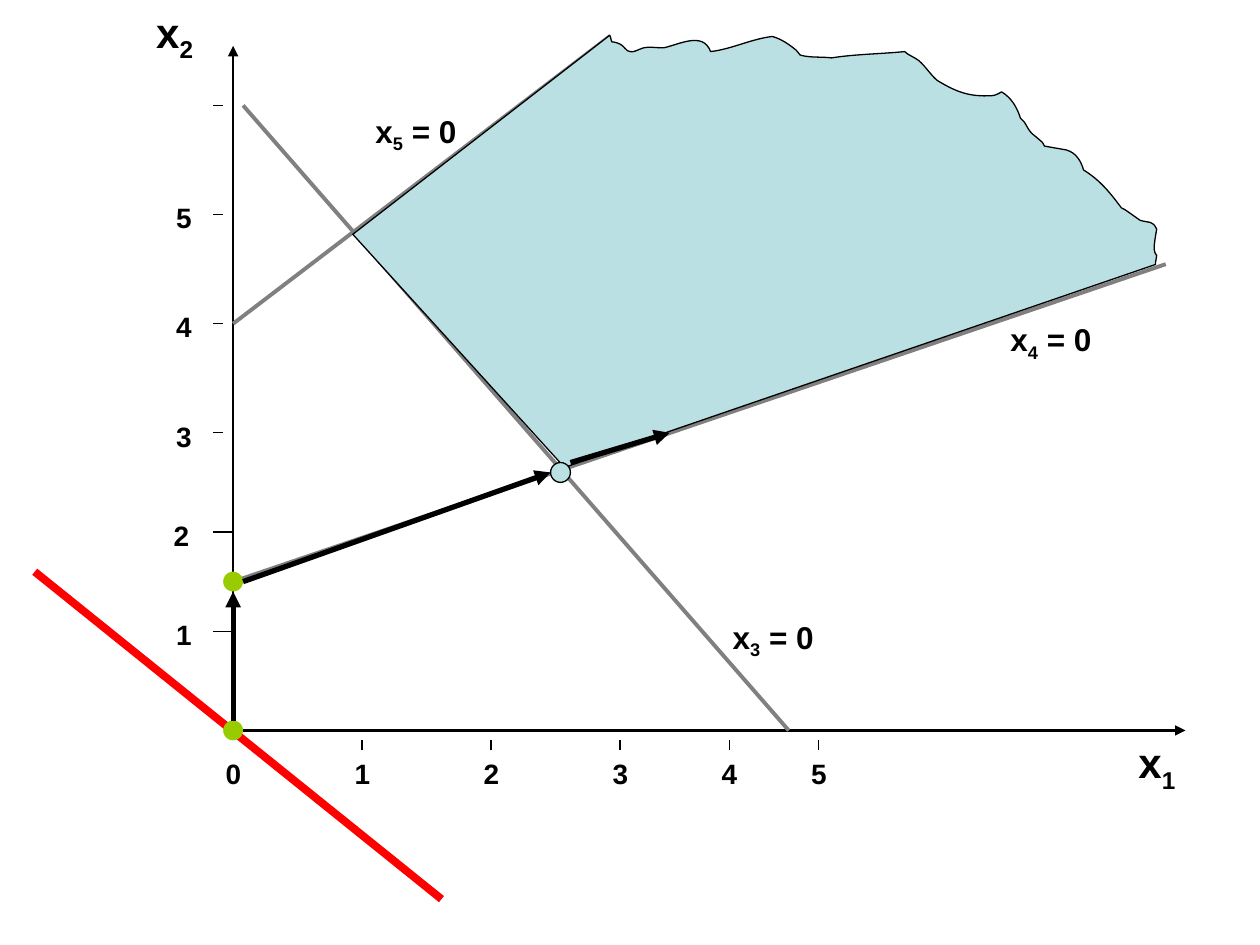
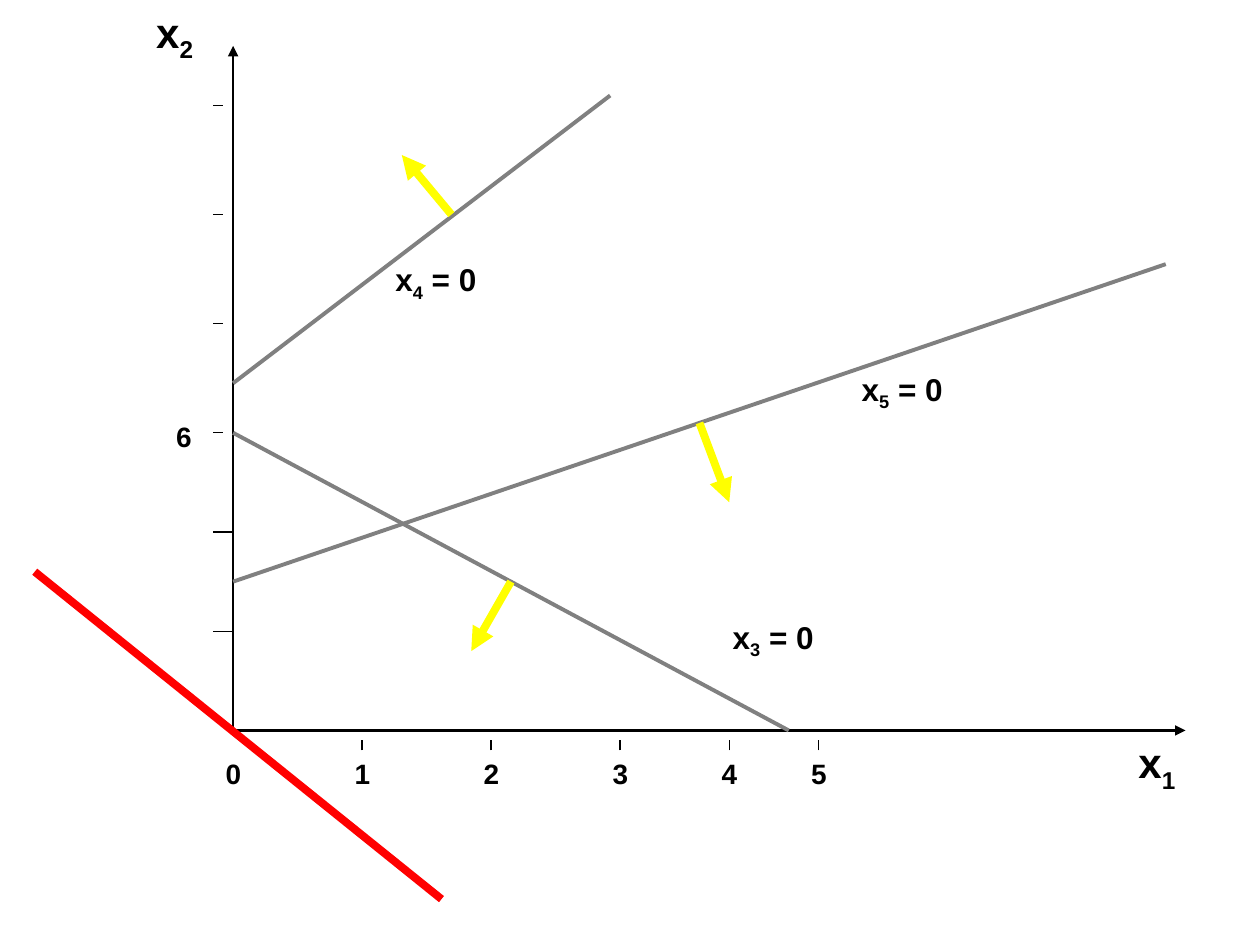
import pptx
import pptx.dml.color
import pptx.enum.shapes
import pptx.enum.text
import pptx.oxml.ns
import pptx.util
from lxml import etree

BLACK = pptx.dml.color.RGBColor(0x00, 0x00, 0x00)
GREY = pptx.dml.color.RGBColor(0x80, 0x80, 0x80)
RED = pptx.dml.color.RGBColor(0xFF, 0x00, 0x00)
YELLOW = pptx.dml.color.RGBColor(0xFF, 0xFF, 0x00)
GREEN = pptx.dml.color.RGBColor(0x99, 0xCC, 0x00)
PALE_BLUE = pptx.dml.color.RGBColor(0xBB, 0xE0, 0xE3)

WIDTH, HEIGHT = pptx.util.Inches(10), pptx.util.Inches(7.5)
CELL = pptx.util.Mm(2)
ORIGIN_X, ORIGIN_Y = pptx.util.Mm(47), pptx.util.Mm(147.25)

X_TICKS = [13, 26, 39, 50, 59]
Y_TICKS = [10, 20, 30, 41, 52, 63]

# Percentages of the slide width: straight corners, then Bezier segments.
REGION_CORNERS = [(48.4, 2.8), (28, 18.6), (44.8, 37.1), (91.7, 21)]
TORN_EDGE = [
    (91.7, 20.7, 91.8, 20.5, 91.8, 20.3), (91.7, 20.1, 91.6, 20, 91.6, 19.8),
    (91.6, 19.3, 91.7, 18.8, 91.8, 18.2), (91.5, 17.5, 91.2, 17.7, 90.5, 17.5),
    (90.2, 17.3, 89.8, 17, 89.5, 16.8), (89.4, 16.7, 89, 16.5, 89, 16.5),
    (88.1, 15.3, 87.3, 14.3, 86, 13.5), (85.8, 12.8, 85.4, 12.1, 84.6, 11.9),
    (84, 11.8, 82.9, 11.6, 82.9, 11.6), (82.8, 11.4, 82.7, 11.2, 82.5, 11.1),
    (82.3, 10.9, 82.1, 10.8, 81.9, 10.6), (81.6, 10.3, 81.5, 10, 81.3, 9.7),
    (81.2, 9.6, 81.1, 9.5, 81, 9.4), (80.7, 8.5, 80.3, 7.8, 79.5, 7.3),
    (79.3, 7.4, 79, 7.6, 78.7, 7.6), (76.9, 7.7, 75.9, 7.3, 74.4, 6.4),
    (73.9, 6, 73.4, 5.2, 72.9, 4.8), (72.5, 4.5, 72.1, 4.4, 71.8, 4.1),
    (69.8, 4.3, 67.9, 4.3, 66, 4.6), (65.2, 4.5, 64.4, 4.6, 63.6, 4.4),
    (63.4, 4.4, 63.4, 4.1, 63.2, 4), (62.6, 3.5, 62, 3.1, 61.3, 2.9),
    (59.6, 3.1, 58.1, 3.9, 56.4, 4.1), (55.8, 2.5, 54, 3.5, 52.7, 3.8),
    (51.8, 3.8, 51.6, 3.7, 51.1, 3.8), (50.7, 3.9, 50.3, 4.2, 50, 4.1),
    (49.7, 4.1, 49.5, 3.6, 49.2, 3.5), (48.3, 3.1, 48.7, 3.7, 48.4, 2.8),
]


def place(col, row):
    """Turn grid columns and rows counted from the origin into slide lengths."""
    return round(ORIGIN_X + col * CELL), round(ORIGIN_Y - row * CELL)


def share(x, y):
    """Turn percentages of the slide width into slide lengths."""
    return round(x * WIDTH / 100), round(y * WIDTH / 100)


def add_line(s, start, end, color=BLACK, width=0.75, arrow=False):
    """Draw a line between two grid points, with an arrowhead if asked."""
    line = s.shapes.add_connector(
        pptx.enum.shapes.MSO_CONNECTOR.STRAIGHT, *place(*start), *place(*end))
    line.line.color.rgb = color
    line.line.width = pptx.util.Pt(width)
    if arrow:
        etree.SubElement(line.line._get_or_add_ln(),
                         pptx.oxml.ns.qn("a:tailEnd"), type="triangle")
    etree.SubElement(line._element.spPr, pptx.oxml.ns.qn("a:effectLst"))


def add_text(s, text, col, row, cols=4, rows=4.7, sub="", rest="", size=16, wrap=False):
    """Write bold text with an optional subscript and the words after it."""
    sp = s.shapes.add_textbox(*place(col, row), round(cols * CELL), round(rows * CELL))
    tf = sp.text_frame
    tf.word_wrap = wrap
    tf.auto_size = pptx.enum.text.MSO_AUTO_SIZE.SHAPE_TO_FIT_TEXT
    p = tf.paragraphs[0]
    for part, baseline in ((text, 0), (sub, -25000), (rest, 0)):
        if part:
            r = p.add_run()
            r.text = part
            r.font.name = "Arial"
            r.font.size = pptx.util.Pt(size)
            r.font.bold = True
            r.font.color.rgb = BLACK
            if baseline:
                r._r.get_or_add_rPr().set("baseline", str(baseline))


def add_equation(s, index, col, row):
    """Label the line on which one variable is zero."""
    add_text(s, "x", col, row, cols=10.7, rows=5.6, sub=index, rest=" = 0", size=18)


def paint(sp, fill, outlined):
    """Fill a shape and give it a thin black outline or none."""
    sp.shadow.inherit = False
    sp.fill.solid()
    sp.fill.fore_color.rgb = fill
    if outlined:
        sp.line.color.rgb = BLACK
        sp.line.width = pptx.util.Pt(0.75)
    else:
        sp.line.fill.background()


def add_dot(s, col, row, fill, outlined=False):
    """Mark a vertex with a dot two cells wide."""
    sp = s.shapes.add_shape(pptx.enum.shapes.MSO_SHAPE.OVAL,
                            *place(col - 1, row + 1), 2 * CELL, 2 * CELL)
    paint(sp, fill, outlined)


def bend(sp, segment, line_to):
    """Turn a straight outline segment into a cubic Bezier."""
    line_to.tag = pptx.oxml.ns.qn("a:cubicBezTo")
    for i in (0, 1):
        x, y = share(*segment[2 * i:2 * i + 2])
        line_to.insert(i, etree.Element(pptx.oxml.ns.qn("a:pt"),
                                        x=str(x - sp.left), y=str(y - sp.top)))


def add_region(s):
    """Draw the unbounded feasible region with its torn outer edge."""
    corners = REGION_CORNERS + [segment[4:] for segment in TORN_EDGE]
    points = [share(*corner) for corner in corners]
    builder = s.shapes.build_freeform(*points[0])
    builder.add_line_segments(points[1:], close=True)
    sp = builder.convert_to_shape()
    lines = list(sp._element.iter(pptx.oxml.ns.qn("a:lnTo")))
    for segment, line_to in zip(TORN_EDGE, lines[len(REGION_CORNERS) - 1:]):
        bend(sp, segment, line_to)
    paint(sp, PALE_BLUE, True)


def add_axes(s):
    """Draw the axes, ticks, horizontal numbers and objective line."""
    add_line(s, (0, 0), (0, 69), width=1.5, arrow=True)
    add_line(s, (0, 0), (96, 0), width=1.5, arrow=True)
    add_text(s, "x", -9, 73.62, cols=8, rows=7.1, sub="2", size=24, wrap=True)
    add_text(s, "x", 90, 0, cols=8, rows=7.1, sub="1", size=24, wrap=True)
    for number, col in enumerate([0] + X_TICKS):
        add_text(s, str(number), col - 2, -2)
    for col in X_TICKS:
        add_line(s, (col, -2), (col, -1))
    for row in Y_TICKS:
        add_line(s, (-2, row), (0 if row < 30 else -1, row))
    add_line(s, (-20, 16), (21, -17), RED, 4.5)


def add_constraints(s, lines, labels):
    """Draw the grey constraint lines and their equations."""
    for start, end in lines:
        add_line(s, start, end, GREY, 2.25)
    for index, col, row in labels:
        add_equation(s, index, col, row)


def add_arrows(s, arrows, color, width):
    """Draw a set of arrows in one colour and weight."""
    for start, end in arrows:
        add_line(s, start, end, color, width, arrow=True)


def build_path_slide(s):
    """Show the path along the vertices to the feasible region."""
    add_axes(s)
    for number, row in enumerate(Y_TICKS[:5], 1):
        add_text(s, str(number), -7.25 if number == 2 else -7, row + 2)
    add_constraints(
        s,
        [((0, 41), (38, 70)), ((1, 63), (56, 0)), ((94, 47), (0, 15))],
        [("3", 49.1, 12), ("4", 77.1, 42), ("5", 13.1, 63)])
    add_dot(s, 0, 0, GREEN)
    add_dot(s, 0, 15, GREEN)
    add_region(s)
    add_dot(s, 33, 26, PALE_BLUE, outlined=True)
    add_arrows(s, [((0, 1), (0, 14)), ((1, 15), (32, 26)), ((34, 27), (44, 30))], BLACK, 3)


def build_direction_slide(s):
    """Show the feasible side of each constraint."""
    add_axes(s)
    add_text(s, "6", -7, 32)
    add_constraints(
        s,
        [((0, 35), (38, 64)), ((0, 30), (56, 0)), ((94, 47), (0, 15))],
        [("3", 49.1, 12), ("4", 15.1, 48), ("5", 62.1, 37)])
    add_arrows(s, [((28, 15), (24, 8)), ((22, 52), (17, 58)), ((47, 31), (50, 23))],
               YELLOW, 4.5)


def main():
    """Build both slides and save them."""
    prs = pptx.Presentation()
    prs.slide_width, prs.slide_height = WIDTH, HEIGHT
    for build in (build_path_slide, build_direction_slide):
        build(prs.slides.add_slide(prs.slide_layouts[6]))
    prs.save("out.pptx")


if __name__ == "__main__":
    main()
